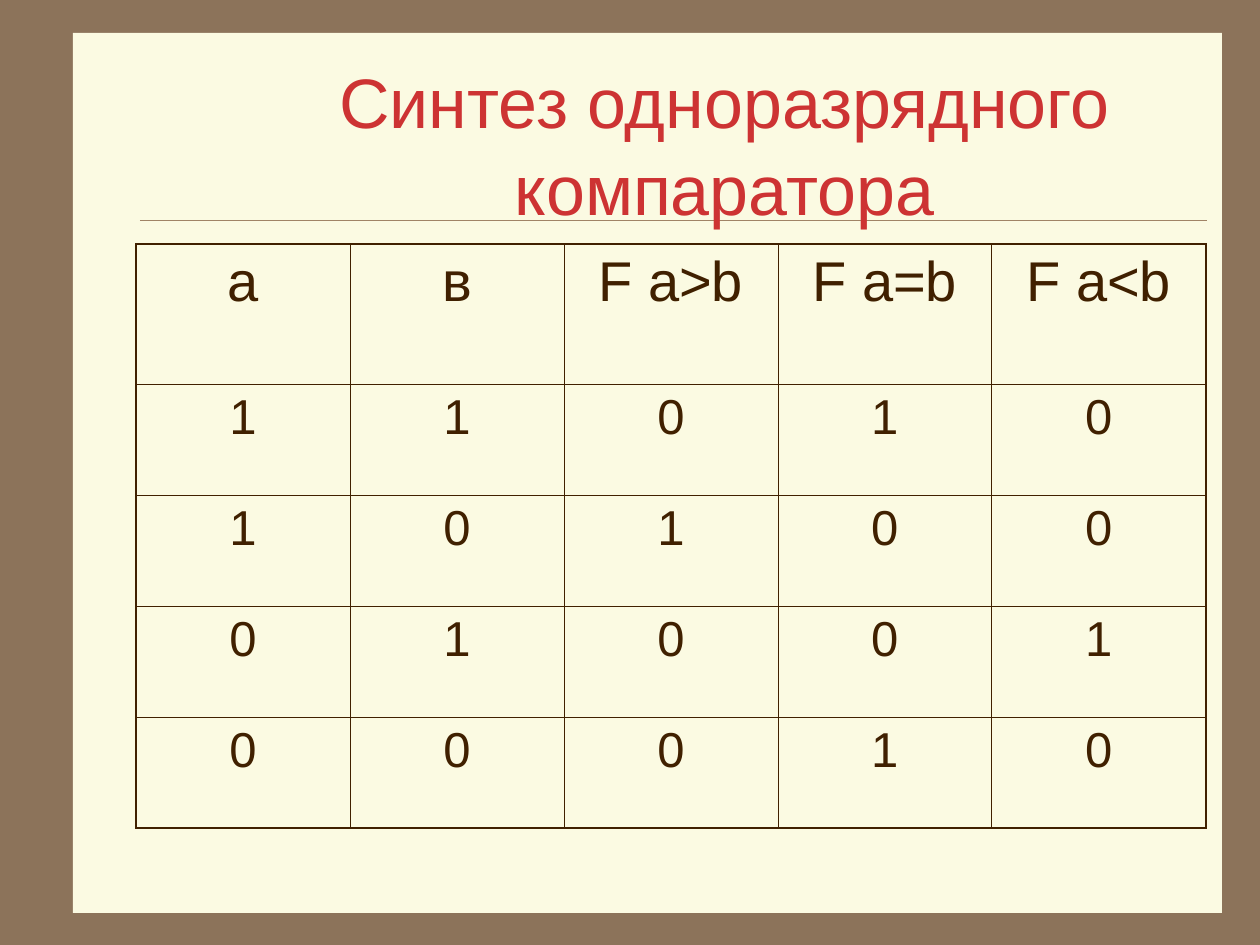
from lxml.etree import SubElement
from pptx import Presentation
from pptx.dml.color import RGBColor
from pptx.enum.shapes import MSO_CONNECTOR as CONN, MSO_SHAPE as SHAPE
from pptx.enum.text import MSO_ANCHOR as ANCHOR, PP_ALIGN as ALIGN
from pptx.oxml.ns import qn
from pptx.util import Emu, Pt

BACK, PAPER, RULE, TITLE, INK = "8C735A", "FBFAE2", "A08366", "CD3333", "402000"
THIN, THICK = 0.45, 1.08


def px(n):
    return Emu(round(n * 914400 / 126))


def color(value):
    return RGBColor.from_string(value)


class Board:
    """Draws on one slide in a single font."""

    def __init__(self, s, font):
        self.s = s
        self.font = font

    def background(self, fill):
        self.s.background.fill.solid()
        self.s.background.fill.fore_color.rgb = color(fill)

    def rect(self, x, y, w, h, fill):
        sp = self.s.shapes.add_shape(SHAPE.RECTANGLE, px(x), px(y), px(w), px(h))
        sp.shadow.inherit = False
        sp.fill.solid()
        sp.fill.fore_color.rgb = color(fill)
        sp.line.fill.background()

    def line(self, x1, y1, x2, y2, stroke, width):
        ln = self.s.shapes.add_connector(CONN.STRAIGHT, px(x1), px(y1), px(x2), px(y2))
        ln.line.color.rgb = color(stroke)
        ln.line.width = Pt(width)
        SubElement(ln._element.spPr, qn("a:effectLst"))

    def paragraph(self, tf, text, size, ink):
        p = tf.paragraphs[0]
        p.text = text
        p.alignment = ALIGN.CENTER
        p.font.name = self.font
        p.font.size = Pt(size)
        p.font.color.rgb = color(ink)
        return p

    def text(self, x, y, w, h, text, size, ink, spacing):
        tf = self.s.shapes.add_textbox(px(x), px(y), px(w), px(h)).text_frame
        tf.word_wrap = True
        tf.vertical_anchor = ANCHOR.MIDDLE
        self.paragraph(tf, text, size, ink).line_spacing = spacing

    def border(self, cell, side, width):
        ln = SubElement(cell._tc.get_or_add_tcPr(), qn(f"a:ln{side}"), w=str(Pt(width)))
        fill = SubElement(ln, qn("a:solidFill"))
        SubElement(fill, qn("a:srgbClr"), val=INK)

    def table(self, x, y, col_w, row_heights, rows):
        """Header row is set larger; the outer frame is thicker than the grid."""
        n_rows, n_cols = len(rows), len(rows[0])
        table = self.s.shapes.add_table(n_rows, n_cols, px(x), px(y),
                                        px(col_w * n_cols), px(sum(row_heights))).table
        for col in table.columns:
            col.width = px(col_w)
        for i, (height, values) in enumerate(zip(row_heights, rows)):
            table.rows[i].height = px(height)
            size = 32 if i == 0 else 28
            for j, value in enumerate(values):
                cell = table.cell(i, j)
                p = self.paragraph(cell.text_frame, value, size, INK)
                p.space_before = Pt(size / 4)
                outer = {"L": j == 0, "R": j == n_cols - 1,
                         "T": i == 0, "B": i == n_rows - 1}
                for side, is_outer in outer.items():
                    self.border(cell, side, THICK if is_outer else THIN)
                cell.fill.solid()
                cell.fill.fore_color.rgb = color(PAPER)


def main():
    prs = Presentation()
    prs.slide_width, prs.slide_height = px(1260), px(945)
    board = Board(prs.slides.add_slide(prs.slide_layouts[6]), "Arial")
    board.background(BACK)
    board.rect(73, 33, 1149, 880, PAPER)
    board.line(140, 220, 1207, 220, RULE, 0.25)
    board.text(189, 63, 1071, 158, "Синтез одноразрядного компаратора", 40, TITLE, 1.04)
    board.table(136, 244, 214, [140] + [111] * 4, [
        ["а", "в", "F a>b", "F a=b", "F a<b"],
        *map(list, ("11010", "10100", "01001", "00010")),
    ])
    prs.save("out.pptx")


if __name__ == "__main__":
    main()
